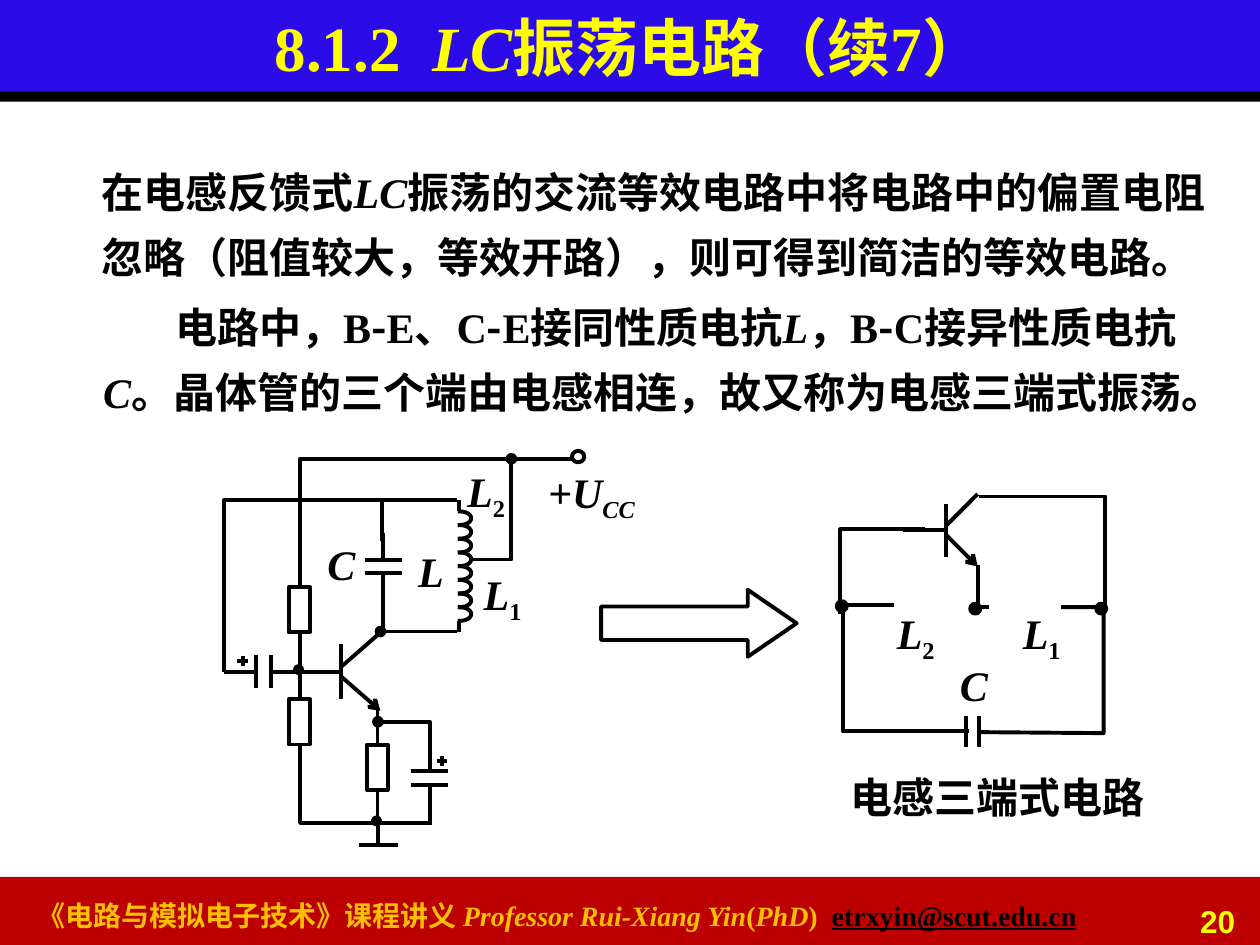
import math
from dataclasses import dataclass

import pptx
import pptx.dml.color
import pptx.enum.shapes
import pptx.enum.text
import pptx.oxml
import pptx.oxml.ns
import pptx.util

Cm, Pt = pptx.util.Cm, pptx.util.Pt
RGB = pptx.dml.color.RGBColor.from_string
Kind = pptx.enum.shapes.MSO_SHAPE
Align = pptx.enum.text.PP_ALIGN


@dataclass
class Theme:
    ink: str = "000000"
    blue: str = "2B0CE8"
    red: str = "BC0000"
    gold: str = "FFC000"
    yellow: str = "FFFF00"
    latin: str = "Times New Roman"
    asian: str = "Noto Sans CJK SC"
    sans: str = "Arial"
    head: int = 36
    body: int = 24
    page: int = 18
    foot: int = 16
    stroke: float = 2.25


look = Theme()
deck = pptx.Presentation()
deck.slide_width, deck.slide_height = Cm(25.4), Cm(19.05)
slide = deck.slides.add_slide(deck.slide_layouts[5])
shapes = slide.shapes


def write(text, at, box=None, size=look.body, color=look.ink, font=look.latin,
          align=Align.LEFT, space=None, indent=None, wrap=True):
    """Text is a list of (words, marks): i italic, s subscript, h hyphen, u link."""
    box = box or shapes.add_textbox(0, 0, 0, 0)
    box.left, box.top, box.width, box.height = map(Cm, at)
    frame = box.text_frame
    frame.word_wrap = wrap
    par = frame.paragraphs[0]
    par.alignment = align
    if space:
        par.line_spacing = space
    if indent:
        par._p.get_or_add_pPr().set("indent", str(Cm(indent)))
    for words, marks in text:
        run = par.add_run()
        run.text = words
        run.font.size, run.font.bold = Pt(size), True
        run.font.italic = "i" in marks
        run.font.underline = "u" in marks
        run.font.color.rgb = RGB(look.ink if "u" in marks else color)
        run.font.name = look.asian if "h" in marks else font
        props = run._r.get_or_add_rPr()
        east = pptx.oxml.ns.qn("a:ea")
        props.append(props.makeelement(east, {"typeface": look.asian}))
        if "s" in marks:
            props.set("baseline", "-25000")


def wire(*points, head=None, tail=None):
    """Two points give a connector, more points give an open outline."""
    spots = [(Cm(x), Cm(y)) for x, y in points]
    if len(spots) == 2:
        line = shapes.add_connector(pptx.enum.shapes.MSO_CONNECTOR.STRAIGHT, *spots[0], *spots[1])
    else:
        pen = shapes.build_freeform(*spots[0])
        pen.add_line_segments(spots[1:], close=False)
        line = pen.convert_to_shape()
        line.fill.background()
    line.line.color.rgb = RGB(look.ink)
    line.line.width = Pt(look.stroke)
    props = line._element.spPr
    stroke = props.find(pptx.oxml.ns.qn("a:ln"))
    for name, end in (("a:headEnd", head), ("a:tailEnd", tail)):
        if end:
            stroke.append(stroke.makeelement(pptx.oxml.ns.qn(name), {"type": end}))
    props.append(props.makeelement(pptx.oxml.ns.qn("a:effectLst"), {}))


# Bars, resistors, supply terminal, junction dots and block arrow
posts = [(6.04, 11.84), (6.04, 14.1), (7.61, 15.01)]
dots = [(16.97, 12.22, 0.2), (22.2, 12.27, 0.2), (19.66, 12.27, 0.2),
        (6.02, 13.5, 0.14), (7.59, 16.55, 0.14)]
solids = [
    (Kind.RECTANGLE, 0, 17.68, 25.4, 1.37, look.red, False),
    (Kind.RECTANGLE, 0, 0, 25.4, 1.93, look.blue, False),
    (Kind.RECTANGLE, 0, 1.85, 25.4, 0.2, look.ink, False),
    *[(Kind.RECTANGLE, x - 0.22, y, 0.43, 0.91, None, True) for x, y in posts],
    (Kind.OVAL, 11.53, 9.09, 0.25, 0.23, None, True),
    *[(Kind.OVAL, x - d / 2, y - d / 2, d, d, look.ink, True) for x, y, d in dots],
    (Kind.RIGHT_ARROW, 12.12, 11.89, 3.94, 1.35, None, True),
]
for kind, x, y, w, h, fill, edge in solids:
    part = shapes.add_shape(kind, Cm(x), Cm(y), Cm(w), Cm(h))
    part.shadow.inherit = False
    if fill:
        part.fill.solid()
        part.fill.fore_color.rgb = RGB(fill)
    else:
        part.fill.background()
    if edge:
        part.line.color.rgb = RGB(look.ink)
        part.line.width = Pt(look.stroke)
    else:
        part.line.fill.background()
    if kind == Kind.RIGHT_ARROW:
        part.adjustments[0], part.adjustments[1] = 0.5, 0.73

# Title, in front of the blue bar
title = shapes.title
shapes._spTree.append(title._element)
title.text_frame.vertical_anchor = pptx.enum.text.MSO_ANCHOR.MIDDLE
write([("8.1.2  ", ""), ("LC", "i"), ("振荡电路（续7）", "")], (0, 0, 25.4, 1.85),
      box=title, size=look.head, color=look.yellow, align=Align.CENTER)

# Body text and caption
write([("在电感反馈式", ""), ("LC", "i"),
       ("振荡的交流等效电路中将电路中的偏置电阻忽略（阻值较大，等效开路），则可得到简洁的等效电路。", "")],
      (1.8, 2.92, 22.94, 2.9), space=1.3)
write([("电路中，B", ""), ("-", "h"), ("E、C", ""), ("-", "h"), ("E接同性质电抗", ""),
       ("L", "i"), ("，B", ""), ("-", "h"), ("C接异性质电抗", ""), ("C", "i"),
       ("。晶体管的三个端由电感相连，故又称为电感三端式振荡。", "")],
      (1.83, 5.64, 23.39, 2.9), space=1.3, indent=1.45)
write([("电感三端式电路", "")], (16.89, 15.42, 7.49, 1.27))

# Footer and page number
write([("《电路与模拟电子技术》课程讲义 ", ""), ("Professor Rui-Xiang Yin", "i"), ("(", ""),
       ("PhD", "i"), (")  ", ""), ("etrxyin@scut.edu.cn", "u")],
      (0.51, 17.98, 22.4, 0.94), size=look.foot, color=look.gold)
write([("20", "")], (22.76, 18.06, 2.39, 0.79), size=look.page, color=look.yellow,
      font=look.sans, align=Align.RIGHT)

# Circuit labels
for name, sub, x, y, w in [
    ("L", "1", 20.37, 12.12, 1.32), ("L", "2", 17.83, 12.12, 1.32), ("C", "", 19.1, 13.18, 1.07),
    ("C", "", 6.35, 10.74, 1.07), ("L", "", 8.18, 10.87, 1.02), ("+U", "CC", 10.8, 9.27, 2.36),
    ("L", "1", 9.5, 11.33, 1.32), ("L", "2", 9.17, 9.25, 1.3),
]:
    text = [(name, "i")]
    if sub:
        text.append((sub, "s" if sub.isdigit() else "si"))
    write(text, (x, y, w, 1.27), wrap=False)

# Transistors: base bar, collector, emitter, base lead
for x, y, run, gap, rise, half, lead in [
    (19.08, 10.69, 0.63, 0.1, 0.73, 0.53, 0.87), (6.88, 13.54, 0.79, 0.1, 0.79, 0.56, 0.78),
]:
    wire((x, y - half), (x, y + half))
    wire((x, y - gap), (x + run, y - rise))
    wire((x, y + gap), (x + run, y + rise), tail="arrow")
    wire((x - lead, y), (x, y))

# Resistor leads
for x, y in posts:
    wire((x, y - 0.69), (x, y))
    wire((x, y + 0.91), (x, y + 1.6))

# Flat capacitors with their leads
for x, y in [(7.73, 11.28), (8.66, 15.55)]:
    for plate, end in [(y, y - 0.54), (y + 0.27, y + 0.83)]:
        wire((x - 0.38, plate), (x + 0.38, plate))
        wire((x, plate), (x, end))

# Upright capacitor plates
for x, top, low in [(5.16, 13.21, 13.87), (5.46, 13.21, 13.87),
                    (19.48, 14.43, 15.06), (19.74, 14.43, 15.06)]:
    wire((x, top), (x, low))

# Polarity marks
for x, y in [(8.91, 15.34), (4.89, 13.32)]:
    wire((x - 0.11, y), (x + 0.11, y))
    wire((x, y - 0.1), (x, y + 0.1))

# Tapped coil of eight equal turns
pitch = 0.276
for turn in range(8):
    arc = [math.pi * step / 12 for step in range(13)]
    wire(*[(9.23 + 0.27 * abs(math.sin(a)) ** 0.8,
            10.31 + pitch * (turn + (1 - math.cos(a)) / 2)) for a in arc])

# Straight wires
for start, end in [
    ((4.52, 13.54), (5.16, 13.54)), ((5.46, 13.54), (6.1, 13.54)),
    ((7.24, 17.04), (8.03, 17.04)), ((7.62, 16.59), (7.62, 17.04)),
    ((9.25, 10.08), (9.25, 10.31)), ((9.25, 12.52), (9.25, 12.75)),
    ((8.66, 15.9), (8.66, 16.59)), ((7.72, 11.86), (7.72, 12.67)),
    ((7.7, 10.08), (7.7, 10.9)), ((19.53, 12.24), (19.94, 12.24)),
    ((19.71, 11.38), (19.71, 12.24)),
]:
    wire(start, end)

# Bent wires, then wires that end in a junction
for bend in [
    [(4.52, 13.54), (4.52, 10.08), (9.22, 10.08)],
    [(6.05, 11.28), (6.05, 9.25), (11.58, 9.25)],
    [(6.05, 15.24), (6.05, 16.59), (8.71, 16.59)],
    [(18.03, 12.19), (16.99, 12.19), (16.99, 14.73), (19.53, 14.73)],
    [(21.39, 12.24), (22.25, 12.24), (22.25, 14.78), (19.76, 14.76)],
    [(18.64, 10.67), (16.94, 10.67), (16.94, 12.37)],
    [(19.74, 10.01), (22.28, 10.01), (22.28, 12.32)],
]:
    wire(*bend)
wire((9.22, 12.73), (7.67, 12.73), tail="oval")
wire((8.66, 15.24), (8.66, 14.55), (7.62, 14.55), tail="oval")
wire((10.31, 9.25), (10.31, 11.28), (9.53, 11.28), head="oval")

deck.save("out.pptx")
